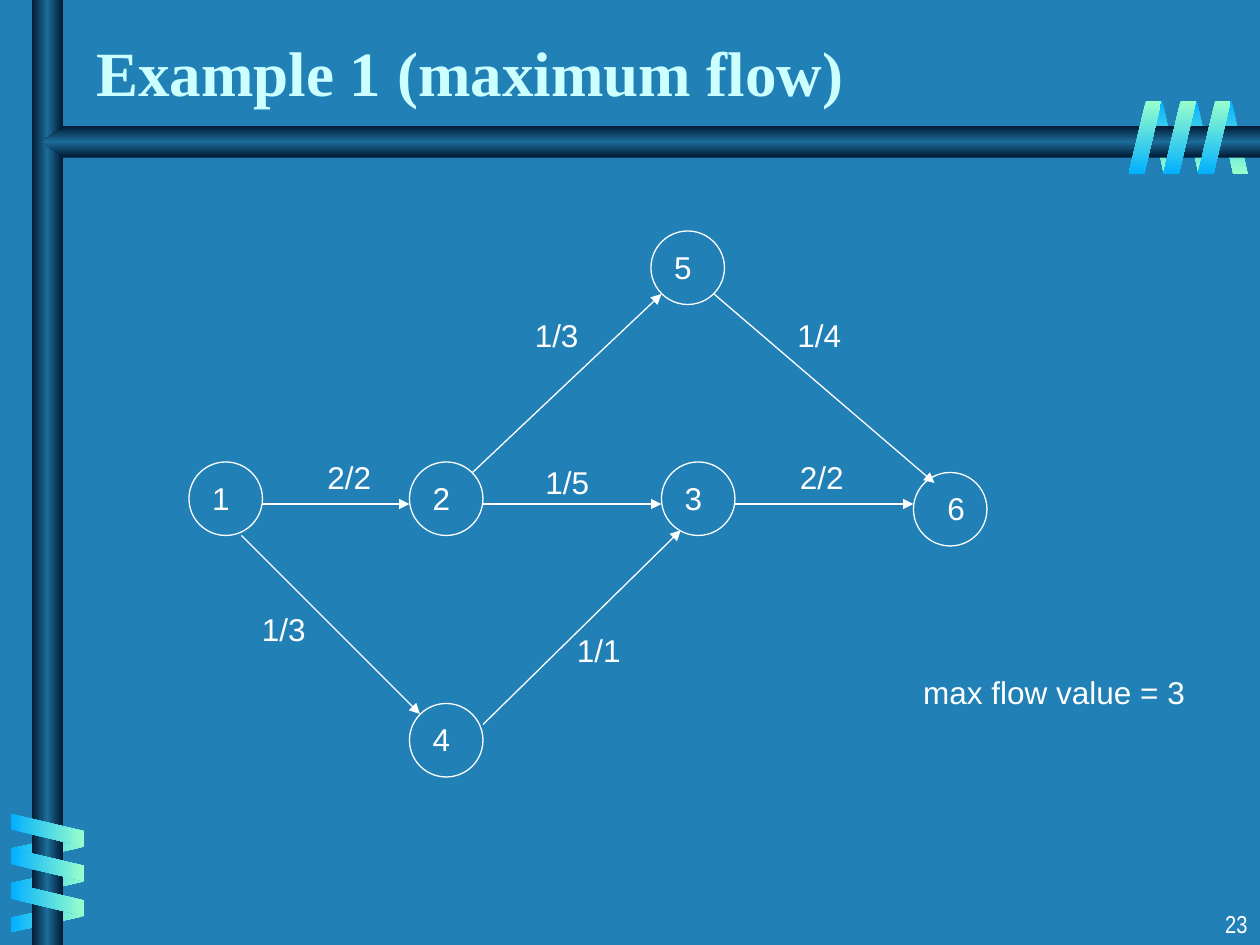
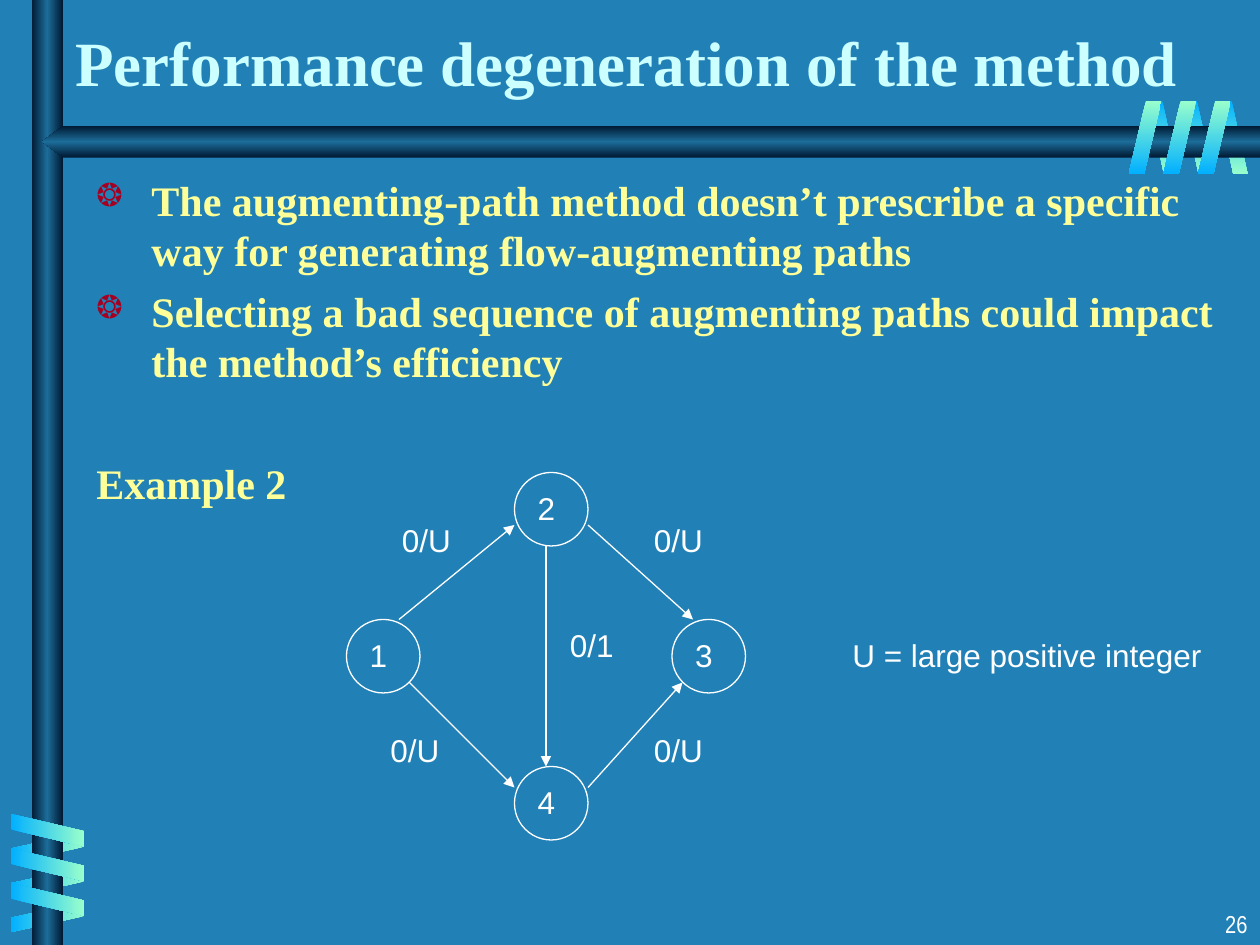
from lxml import etree
from pptx import Presentation
from pptx.dml.color import RGBColor
from pptx.enum.shapes import MSO_CONNECTOR, MSO_SHAPE
from pptx.enum.text import MSO_ANCHOR, PP_ALIGN
from pptx.oxml.ns import qn
from pptx.util import Pt

BACKGROUND = "2181B7"
WHITE = "FFFFFF"
BULLET = "A50021"
BLUE, MINT = "01B0FF", "99FFCC"
BAR = ("001932", "1C6D9A", "001932")
NODE = 42
COIL_STEP, COIL_LENGTH = 19.8, 41.8

TITLE = {"name": "Times New Roman", "size": Pt(36), "bold": True, "color": "CCFFFF"}
BODY = {"name": "Times New Roman", "size": Pt(24), "bold": True, "color": "FFFF99"}
LABEL = {"name": "Arial", "size": Pt(18), "color": WHITE}
NUMBER = {"name": "Arial Narrow", "size": Pt(14), "color": WHITE}


def rgb(value):
    return RGBColor.from_string(value)


def set_all(obj, values):
    for key, value in values.items():
        setattr(obj, key, value)


def add_run(p, text, style):
    r = p.add_run()
    r.text = text
    set_all(r.font, {k: v for k, v in style.items() if k != "color"})
    r.font.color.rgb = rgb(style["color"])


def add_text(s, box, text, style, align=PP_ALIGN.LEFT, anchor=MSO_ANCHOR.TOP):
    tf = s.shapes.add_textbox(*map(Pt, box)).text_frame
    set_all(tf, {"word_wrap": True, "vertical_anchor": anchor})
    p = tf.paragraphs[0]
    p.alignment = align
    add_run(p, text, style)


def fill_gradient(sp, colors, angle):
    sp.shadow.inherit = False
    sp.line.fill.background()
    sp.fill.gradient()
    grad = sp.element.spPr.find(qn("a:gradFill"))
    for child in list(grad):
        grad.remove(child)
    grad.set("rotWithShape", "0")
    stops = etree.SubElement(grad, qn("a:gsLst"))
    for i, color in enumerate(colors):
        pos = str(100000 * i // (len(colors) - 1))
        stop = etree.SubElement(stops, qn("a:gs"), pos=pos)
        etree.SubElement(stop, qn("a:srgbClr"), val=color)
    etree.SubElement(grad, qn("a:lin"), ang=str(angle * 60000), scaled="0")


def add_coil(s, x, y, width, colors, rotation=0, upright=True, flip=False):
    for i in range(3):
        shift = i * COIL_STEP
        left, top = (x + shift, y) if upright else (x, y + shift)
        sp = s.shapes.add_shape(MSO_SHAPE.PARALLELOGRAM, Pt(left), Pt(top),
                                Pt(width), Pt(COIL_LENGTH))
        sp.adjustments[0] = 0.53
        sp.rotation = rotation
        if flip:
            sp.element.spPr.find(qn("a:xfrm")).set("flipH", "1")
        fill_gradient(sp, colors, 90 if upright else 0)


def add_bars(s):
    post = s.shapes.add_shape(MSO_SHAPE.RECTANGLE, Pt(18), 0, Pt(18), Pt(540))
    fill_gradient(post, BAR, 0)
    outline = [(Pt(x), Pt(y)) for x, y in
               ((720, 72), (36, 72), (24, 81), (36, 90), (720, 90))]
    builder = s.shapes.build_freeform(*outline[0])
    builder.add_line_segments(outline[1:], close=True)
    fill_gradient(builder.convert_to_shape(), BAR, 90)


def add_base(prs, title, title_box, number):
    s = prs.slides.add_slide(prs.slide_layouts[6])
    s.background.fill.solid()
    s.background.fill.fore_color.rgb = rgb(BACKGROUND)
    add_coil(s, 656, 57.6, 17.3, (BLUE, MINT), 180, flip=True)
    add_coil(s, 18.7, 463.4, 17.3, (MINT, BLUE), 90, upright=False, flip=True)
    add_bars(s)
    add_coil(s, 17.8, 453.5, 18.7, (BLUE, MINT), 270, upright=False)
    add_coil(s, 645, 57.6, 18.7, (MINT, BLUE))
    add_text(s, (570, 516, 150, 24), number, NUMBER, PP_ALIGN.RIGHT)
    add_text(s, title_box, title, TITLE, anchor=MSO_ANCHOR.BOTTOM)
    return s


def add_node(s, x, y, name, indent=7.2):
    sp = s.shapes.add_shape(MSO_SHAPE.OVAL, Pt(x), Pt(y), Pt(NODE), Pt(NODE))
    sp.shadow.inherit = False
    sp.fill.background()
    sp.line.color.rgb = rgb(WHITE)
    sp.line.width = Pt(0.75)
    tf = sp.text_frame
    set_all(tf, {"word_wrap": True, "vertical_anchor": MSO_ANCHOR.TOP,
                 "margin_left": Pt(indent), "margin_right": 0})
    tf.paragraphs[0].alignment = PP_ALIGN.LEFT
    add_run(tf.paragraphs[0], name, LABEL)


def add_arrow(s, x1, y1, x2, y2):
    c = s.shapes.add_connector(MSO_CONNECTOR.STRAIGHT, Pt(x1), Pt(y1), Pt(x2), Pt(y2))
    c.line.color.rgb = rgb(WHITE)
    c.line.width = Pt(0.75)
    etree.SubElement(c.line._get_or_add_ln(), qn("a:tailEnd"), type="triangle")
    etree.SubElement(c.element.spPr, qn("a:effectLst"))


def add_graph(s, left, top, nodes, arrows, labels):
    for name, x, y, *indent in nodes:
        add_node(s, left + x, top + y, name, *indent)
    for x1, y1, x2, y2 in arrows:
        add_arrow(s, left + x1, top + y1, left + x2, top + y2)
    for text, x, y, width in labels:
        add_text(s, (left + x, top + y, width, 28.8), text, LABEL)


def add_body(s, box, bullets, heading):
    tf = s.shapes.add_textbox(*map(Pt, box)).text_frame
    tf.word_wrap = True
    for i, text in enumerate(bullets + [heading]):
        p = tf.add_paragraph() if i else tf.paragraphs[0]
        p.line_spacing = Pt(28.8)
        if i:
            p.space_before = Pt(40.8 if text == heading else 6)
        if text != heading:
            pPr = p._p.get_or_add_pPr()
            set_indent = {"marL": Pt(31.5), "indent": -Pt(31.5)}
            for key, value in set_indent.items():
                pPr.set(key, str(value))
            color = etree.SubElement(pPr, qn("a:buClr"))
            etree.SubElement(color, qn("a:srgbClr"), val=BULLET)
            etree.SubElement(pPr, qn("a:buSzPct"), val="75000")
            etree.SubElement(pPr, qn("a:buChar"), char="❂")
        add_run(p, text, BODY)


def add_maximum_flow(prs):
    s = add_base(prs, "Example 1 (maximum flow)", (48, 12, 598, 54), "23")
    nodes = [("1", 0, 132), ("2", 126, 132), ("3", 270, 132),
             ("4", 126, 270), ("5", 264, 0), ("6", 414, 138, 13.2)]
    arrows = [(30, 174, 132, 276), (42, 156, 126, 156), (162, 138, 270, 36),
              (168, 156, 270, 156), (168, 282, 281, 171),
              (312, 156, 414, 156), (300, 36, 426, 144)]
    labels = [("2/2", 72, 126, 48), ("2/2", 342, 126, 48), ("1/3", 34.5, 213, 48),
              ("1/1", 214.5, 225, 48), ("1/5", 196.5, 129, 48),
              ("1/3", 190.5, 45, 48), ("1/4", 340.5, 45, 48),
              ("max flow value = 3", 412.5, 249, 175)]
    add_graph(s, 108, 132, nodes, arrows, labels)


def add_degeneration(prs):
    s = add_base(prs, "Performance degeneration of the method", (36, 18, 672, 42), "26")
    add_body(s, (48, 96, 654, 414), [
        "The augmenting-path method doesn’t prescribe a specific way for "
        "generating flow-augmenting paths",
        "Selecting a bad sequence of augmenting paths could impact the "
        "method’s efficiency",
    ], "Example 2")
    nodes = [("1", 0, 84), ("2", 96, 0), ("3", 186, 84), ("4", 96, 168)]
    arrows = [(36, 120, 96, 180), (138, 180, 192, 120), (30, 84, 96, 30),
              (138, 30, 198, 84), (114, 42, 114, 168)]
    labels = [("0/U", 24.5, 24, 48), ("0/U", 168.5, 24, 48), ("0/1", 120.5, 84, 48),
              ("0/U", 168.5, 144, 48), ("0/U", 18, 144, 48),
              ("U = large positive integer", 282, 90, 230)]
    add_graph(s, 198, 270, nodes, arrows, labels)


def main():
    prs = Presentation()
    set_all(prs, {"slide_width": Pt(720), "slide_height": Pt(540)})
    add_maximum_flow(prs)
    add_degeneration(prs)
    prs.save("out.pptx")


if __name__ == "__main__":
    main()
